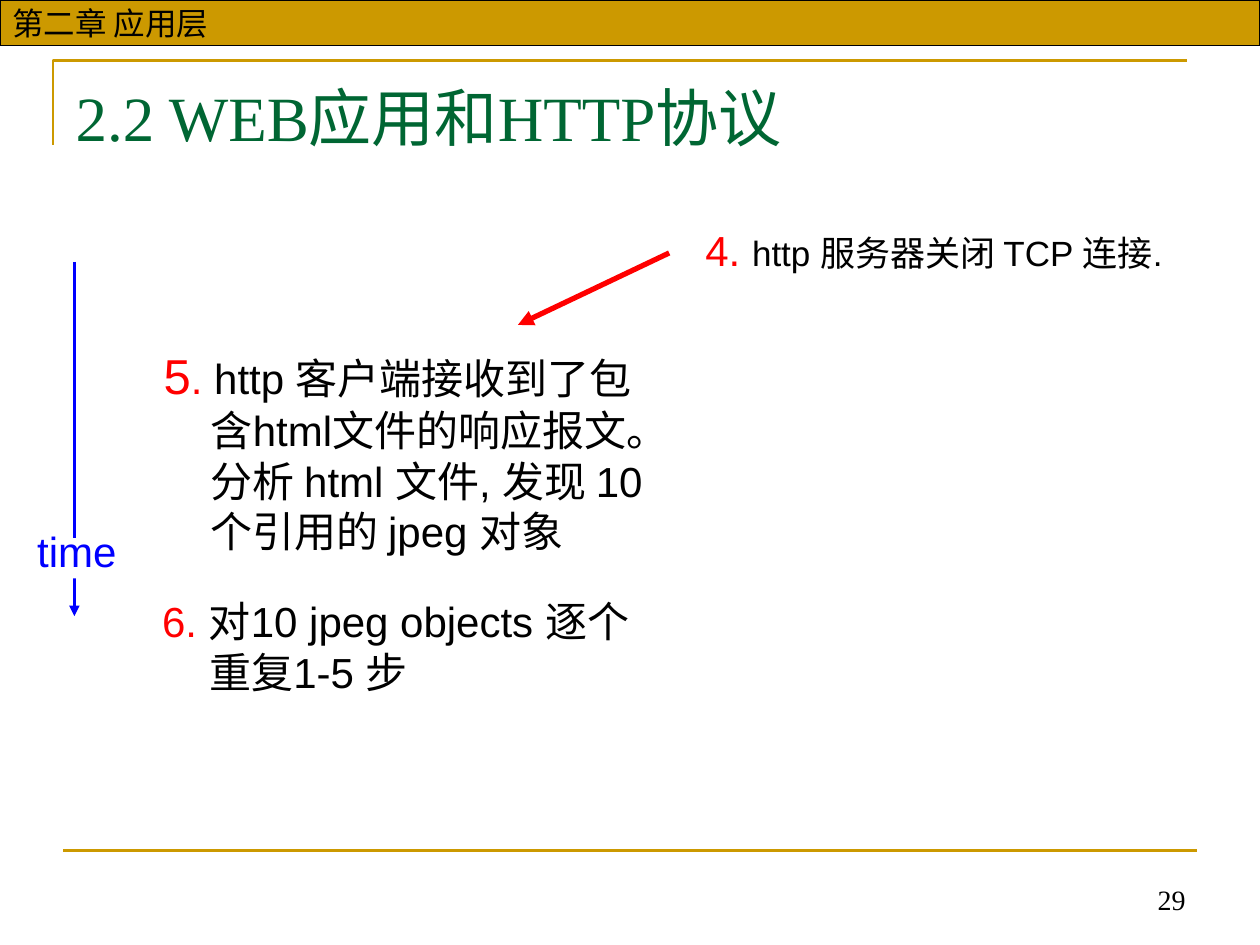
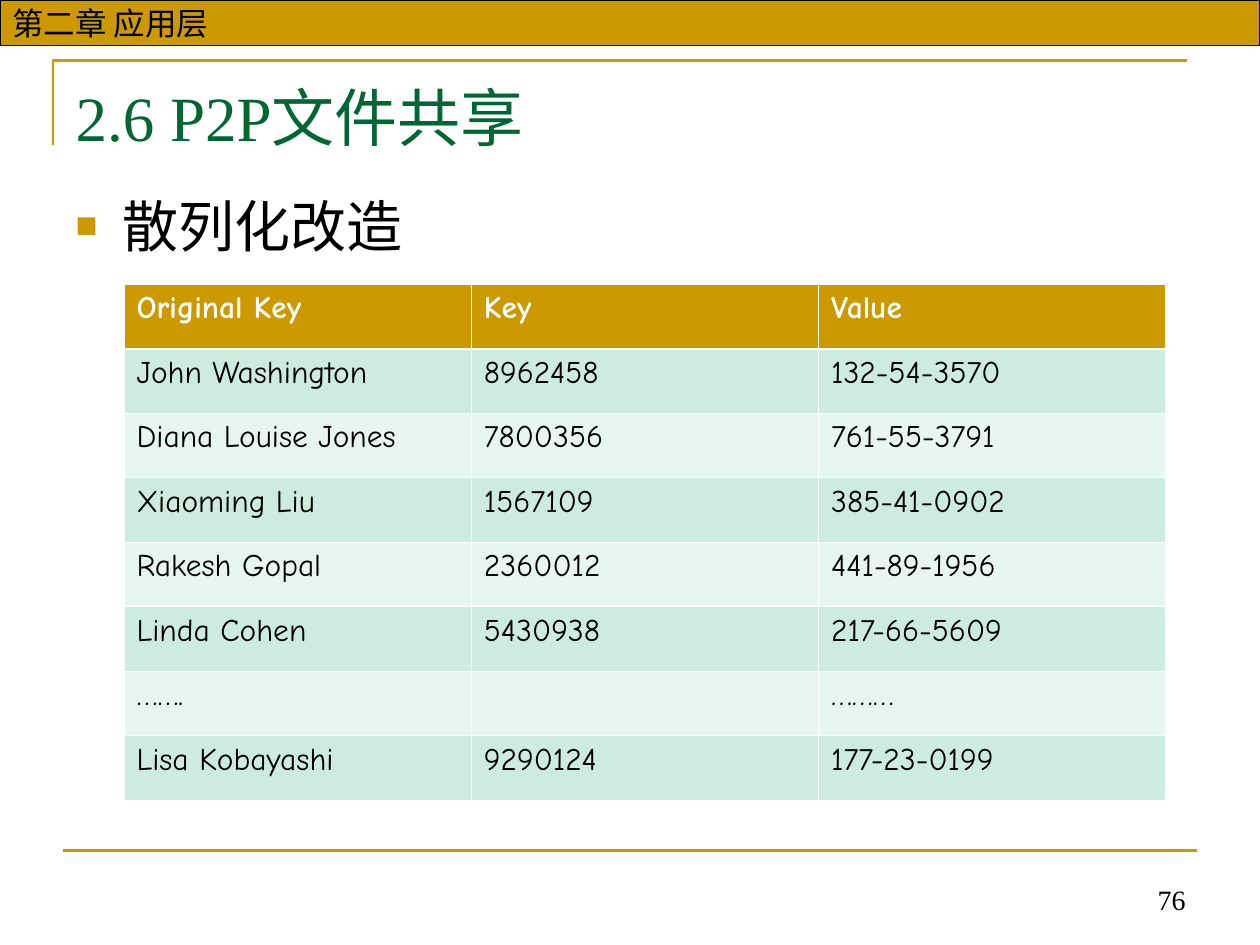
import pptx
import pptx.util
import pptx.dml.color
import pptx.enum.shapes
import pptx.enum.text
import pptx.oxml
import pptx.oxml.ns
from pptx.util import Cm

COLOURS = {
    "gold": "CC9900",
    "green": "006633",
    "black": "000000",
    "white": "FFFFFF",
    "red": "FF0000",
    "blue": "0000FF",
    "mint": "CBECDE",
    "pale": "E7F6EF",
}
RGB = {name: pptx.dml.color.RGBColor.from_string(value) for name, value in COLOURS.items()}
NAMESPACE = pptx.oxml.ns.nsdecls("a")
ALIGN = pptx.enum.text.PP_ALIGN
ANCHOR = pptx.enum.text.MSO_ANCHOR
RECTANGLE = pptx.enum.shapes.MSO_SHAPE.RECTANGLE


def add_span(para, text, size, colour, font="Arial", bold=False):
    span = para.add_run()
    span.text = text
    span.font.size = pptx.util.Pt(size)
    span.font.name = font
    span.font.bold = bold
    span.font.color.rgb = RGB[colour]


def add_line(page, start, end, colour, width, arrow=False):
    line = page.shapes.add_connector(
        pptx.enum.shapes.MSO_CONNECTOR.STRAIGHT,
        Cm(start[0]), Cm(start[1]), Cm(end[0]), Cm(end[1]))
    line.line.color.rgb = RGB[colour]
    line.line.width = pptx.util.Pt(width)
    if arrow:
        line.line._get_or_add_ln().append(
            pptx.oxml.parse_xml(f'<a:tailEnd {NAMESPACE} type="triangle"/>'))
    line._element.spPr.append(pptx.oxml.parse_xml(f"<a:effectLst {NAMESPACE}/>"))


deck = pptx.Presentation()
deck.slide_width = Cm(25.4)
deck.slide_height = Cm(19.05)

pages = []
for layout, title_text, number in [
    (5, "2.2 WEB应用和HTTP协议", "29"),
    (1, "2.6 P2P文件共享", "76"),
]:
    page = deck.slides.add_slide(deck.slide_layouts[layout])
    pages.append(page)

    corner = page.shapes.build_freeform(Cm(1.07), Cm(2.92))
    corner.add_line_segments([(Cm(1.07), Cm(1.22)), (Cm(23.93), Cm(1.22))], close=False)
    frame = corner.convert_to_shape()
    frame.shadow.inherit = False
    frame.fill.background()
    frame.line.color.rgb = RGB["gold"]
    frame.line.width = pptx.util.Pt(1.5)
    add_line(page, (1.27, 17.15), (24.13, 17.15), "gold", 1.5)

    band = page.shapes.add_shape(RECTANGLE, 0, 0, deck.slide_width, Cm(0.92))
    band.shadow.inherit = False
    band.fill.solid()
    band.fill.fore_color.rgb = RGB["gold"]
    band.line.color.rgb = RGB["black"]
    band.line.width = pptx.util.Pt(0.75)
    band.text_frame.vertical_anchor = ANCHOR.MIDDLE
    para = band.text_frame.paragraphs[0]
    para.alignment = ALIGN.LEFT
    add_span(para, "第二章 应用层", 18, "black")

    title = page.shapes.title
    title.left, title.top, title.width, title.height = Cm(1.27), Cm(1.37), Cm(22.86), Cm(1.95)
    title.text_frame.auto_size = pptx.enum.text.MSO_AUTO_SIZE.NONE
    title.text_frame.vertical_anchor = ANCHOR.MIDDLE
    para = title.text_frame.paragraphs[0]
    para.alignment = ALIGN.LEFT
    add_span(para, title_text, 36, "green", "Times New Roman")

    box = page.shapes.add_textbox(Cm(16.1), Cm(17.32), Cm(8.05), Cm(1.27))
    box.text_frame.word_wrap = True
    box.text_frame.vertical_anchor = ANCHOR.BOTTOM
    para = box.text_frame.paragraphs[0]
    para.alignment = ALIGN.RIGHT
    add_span(para, number, 16, "black", "Times New Roman")

steps_page, table_page = pages

steps = [
    (3.05, 6.85, 4.27, [
        ("5", 28, "red"), (".", 24, "red"),
        (" http 客户端接收到了包含html文件的响应报文。分析 html 文件, 发现 10 个引用的 jpeg 对象", 24, "black"),
    ]),
    (3.02, 11.89, 1.85, [("6. ", 24, "red"), ("对10 jpeg objects 逐个重复1-5 步", 24, "black")]),
    (13.97, 4.4, 2.03, [("4. ", 24, "red"), ("http 服务器关闭 TCP 连接.", 20, "black")]),
]
for left, top, height, spans in steps:
    box = steps_page.shapes.add_textbox(Cm(left), Cm(top), Cm(10.59), Cm(height))
    box.text_frame.word_wrap = True
    para = box.text_frame.paragraphs[0]
    properties = para._p.get_or_add_pPr()
    properties.set("marL", str(Cm(0.95)))
    properties.set("indent", str(Cm(-0.95)))
    for text, size, colour in spans:
        add_span(para, text, size, colour)

add_line(steps_page, (1.5, 5.28), (1.5, 12.42), "blue", 1.5, arrow=True)
gap = steps_page.shapes.add_shape(RECTANGLE, Cm(0.84), Cm(10.85), Cm(0.94), Cm(0.81))
gap.shadow.inherit = False
gap.fill.solid()
gap.fill.fore_color.rgb = RGB["white"]
gap.line.fill.background()
time_label = steps_page.shapes.add_textbox(Cm(0.5), Cm(10.46), Cm(2.1), Cm(1.27))
time_label.text_frame.word_wrap = False
para = time_label.text_frame.paragraphs[0]
para.alignment = ALIGN.CENTER
add_span(para, "time", 24, "blue")
add_line(steps_page, (13.49, 5.1), (10.44, 6.55), "red", 3, arrow=True)

body = table_page.placeholders[1]
body.left, body.top, body.width, body.height = Cm(1.27), Cm(3.73), Cm(22.86), Cm(13.2)
body.text_frame.auto_size = pptx.enum.text.MSO_AUTO_SIZE.NONE
para = body.text_frame.paragraphs[0]
properties = para._p.get_or_add_pPr()
properties.set("marL", str(Cm(0.95)))
properties.set("indent", str(Cm(-0.95)))
for bullet in [
    f'<a:buClr {NAMESPACE}><a:srgbClr val="{COLOURS["gold"]}"/></a:buClr>',
    f'<a:buSzPct {NAMESPACE} val="65000"/>',
    f'<a:buFont {NAMESPACE} typeface="Arial"/>',
    f'<a:buChar {NAMESPACE} char="■"/>',
]:
    properties.append(pptx.oxml.parse_xml(bullet))
para.space_before = pptx.util.Pt(0)
add_span(para, "散列化改造", 32, "black")

records = [
    ("Original Key", "Key", "Value"),
    ("John Washington", "8962458", "132-54-3570"),
    ("Diana Louise Jones", "7800356", "761-55-3791"),
    ("Xiaoming Liu", "1567109", "385-41-0902"),
    ("Rakesh Gopal", "2360012", "441-89-1956"),
    ("Linda Cohen", "5430938", "217-66-5609"),
    ("…….", "", "………"),
    ("Lisa Kobayashi", "9290124", "177-23-0199"),
]
table = table_page.shapes.add_table(
    len(records), 3, Cm(2.5), Cm(5.73), Cm(21), Cm(10.4)).table
table.horz_banding = False
for row, record in enumerate(records):
    header = row == 0
    fill = "gold" if header else ("pale", "mint")[row % 2]
    for column, text in enumerate(record):
        cell = table.cell(row, column)
        widths = {"lnL": 0.45, "lnR": 0.45,
                  "lnT": 1.47 if row == 1 else 0.45,
                  "lnB": 1.47 if header else 0.45}
        for side, width in widths.items():
            cell._tc.get_or_add_tcPr().append(pptx.oxml.parse_xml(
                f'<a:{side} {NAMESPACE} w="{pptx.util.Pt(width)}"><a:solidFill>'
                f'<a:srgbClr val="{COLOURS["white"]}"/></a:solidFill></a:{side}>'))
        cell.fill.solid()
        cell.fill.fore_color.rgb = RGB[fill]
        if text:
            add_span(cell.text_frame.paragraphs[0], text, 18,
                     "white" if header else "black", "Comic Neue", header)

deck.save("out.pptx")
